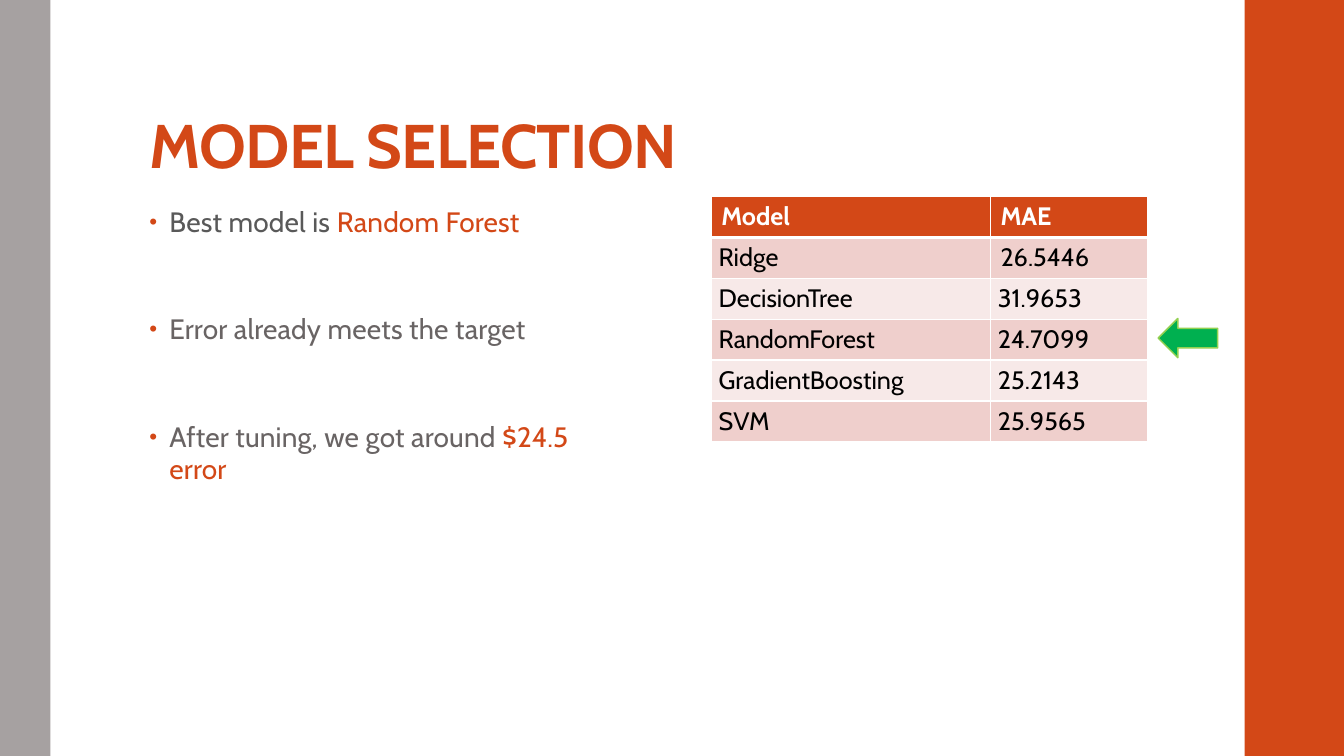
from dataclasses import dataclass

from lxml.etree import SubElement
from pptx import Presentation
from pptx.dml.color import RGBColor
from pptx.enum.shapes import MSO_SHAPE as Kind
from pptx.enum.text import MSO_ANCHOR as Anchor, MSO_AUTO_SIZE as Fit, PP_ALIGN as Align
from pptx.oxml.ns import qn
from pptx.util import Pt

ORANGE = RGBColor(0xD3, 0x48, 0x17)
GREY = RGBColor(0xA6, 0xA1, 0xA1)
DARK = RGBColor(0x59, 0x59, 0x59)
SOFT = RGBColor(0x69, 0x64, 0x64)
WHITE = RGBColor(0xFF, 0xFF, 0xFF)
BLACK = RGBColor(0, 0, 0)
ROSE = RGBColor(0xEF, 0xCF, 0xCC)
PALE = RGBColor(0xF7, 0xE9, 0xE8)
GREEN = RGBColor(0x00, 0xB0, 0x50)
LIME = RGBColor(0x92, 0xD0, 0x50)
FACE = "Cabin"


@dataclass
class Block:
    kind: Kind
    left: float
    top: float
    width: float
    height: float
    fill: RGBColor
    edge: RGBColor | None = None


@dataclass
class Point:
    text: str
    color: RGBColor
    accent: str = ""


BLOCKS = [
    Block(Kind.RECTANGLE, 889, 0, 71, 540, ORANGE),
    Block(Kind.RECTANGLE, 0, 0, 36, 540, GREY),
    Block(Kind.LEFT_ARROW, 827.3, 227.5, 42.5, 28, GREEN, LIME),
]
POINTS = [
    Point("Best model is ", DARK, "Random Forest"),
    Point("Error already meets the target", SOFT),
    Point("After tuning, we got around ", SOFT, "$24.5 error"),
]
ROWS = [
    ("Model", "MAE"),
    ("Ridge", "26.5446"),
    ("DecisionTree", "31.9653"),
    ("RandomForest", "24.7099"),
    ("GradientBoosting", "25.2143"),
    ("SVM", "25.9565"),
]


def place(shape, left: float, top: float, width: float, height: float) -> None:
    shape.left, shape.top = Pt(left), Pt(top)
    shape.width, shape.height = Pt(width), Pt(height)


def style(para, size: float, spacing: int = 0) -> None:
    """Set the face, size and letter spacing (hundredths of a point)."""
    para.font.name = FACE
    para.font.size = Pt(size)
    if spacing:
        para._p.pPr.find(qn("a:defRPr")).set("spc", str(spacing))


def draw_block(slide, block: Block) -> None:
    shape = slide.shapes.add_shape(block.kind, Pt(block.left), Pt(block.top),
                                   Pt(block.width), Pt(block.height))
    shape.shadow.inherit = False
    shape.fill.solid()
    shape.fill.fore_color.rgb = block.fill
    if block.edge is None:
        shape.line.fill.background()
    else:
        shape.line.color.rgb = block.edge
        shape.line.width = Pt(1.1)


def draw_title(slide) -> None:
    title = slide.shapes.title
    place(title, 99.4, 23, 763, 110.2)
    frame = title.text_frame
    frame.text = "MODEL SELECTION"
    frame.auto_size = Fit.NONE
    frame.vertical_anchor = Anchor.BOTTOM
    frame.margin_top = Pt(2.2)
    para = frame.paragraphs[0]
    para.alignment = Align.LEFT
    para.line_spacing = 0.9
    style(para, 44, -50)
    para.font.bold = True
    para.font.color.rgb = ORANGE


def add_bullet(para) -> None:
    props = para._p.get_or_add_pPr()
    props.set("marL", str(Pt(14.4)))
    props.set("indent", str(Pt(-14.4)))
    tint = SubElement(props, qn("a:buClr"))
    SubElement(tint, qn("a:srgbClr")).set("val", str(ORANGE))
    SubElement(props, qn("a:buSzPct")).set("val", "80000")
    SubElement(props, qn("a:buChar")).set("char", "•")


def draw_list(slide) -> None:
    body = slide.placeholders[1]
    place(body, 99.4, 144, 352.8, 342.7)
    frame = body.text_frame
    frame.auto_size = Fit.NONE
    for index, point in enumerate(POINTS):
        para = frame.add_paragraph() if index else frame.paragraphs[0]
        para.line_spacing = 0.95
        para.space_before = Pt(52 if index else 0)
        para.space_after = Pt(2)
        add_bullet(para)
        style(para, 20, 10)
        for text, color in ((point.text, point.color), (point.accent, ORANGE)):
            if text:
                run = para.add_run()
                run.text = text
                run.font.color.rgb = color


def add_edges(cell, base: float) -> None:
    """Draw white borders, with the given width at the bottom."""
    props = cell._tc.get_or_add_tcPr()
    for side, width in (("L", 1), ("R", 1), ("T", 1), ("B", base)):
        line = SubElement(props, qn(f"a:ln{side}"))
        line.set("w", str(Pt(width)))
        fill = SubElement(line, qn("a:solidFill"))
        SubElement(fill, qn("a:srgbClr")).set("val", str(WHITE))


def fill_cell(cell, text: str, row: int, col: int) -> None:
    head = row == 0
    cell.text = text
    if not head and (row, col) != (1, 1):
        cell.vertical_anchor = Anchor.MIDDLE
        cell.margin_left = cell.margin_right = Pt(5.4)
        cell.margin_top = cell.margin_bottom = Pt(2.7)
    para = cell.text_frame.paragraphs[0]
    style(para, 18)
    para.font.bold = head
    para.font.color.rgb = WHITE if head else BLACK
    add_edges(cell, 3 if head else 1)
    cell.fill.solid()
    cell.fill.fore_color.rgb = ORANGE if head else ROSE if row % 2 else PALE


def draw_table(slide) -> None:
    frame = slide.shapes.add_table(len(ROWS), 2, Pt(508), Pt(140.4), Pt(312), Pt(175.2))
    table = frame.table
    table.columns[0].width = Pt(199.5)
    table.columns[1].width = Pt(112.5)
    for row, texts in enumerate(ROWS):
        table.rows[row].height = Pt(29.2)
        for col, text in enumerate(texts):
            fill_cell(table.cell(row, col), text, row, col)


def main() -> None:
    deck = Presentation()
    deck.slide_width, deck.slide_height = Pt(960), Pt(540)
    slide = deck.slides.add_slide(deck.slide_layouts[1])
    for block in BLOCKS:
        draw_block(slide, block)
    draw_title(slide)
    draw_list(slide)
    draw_table(slide)
    deck.save("out.pptx")


if __name__ == "__main__":
    main()
